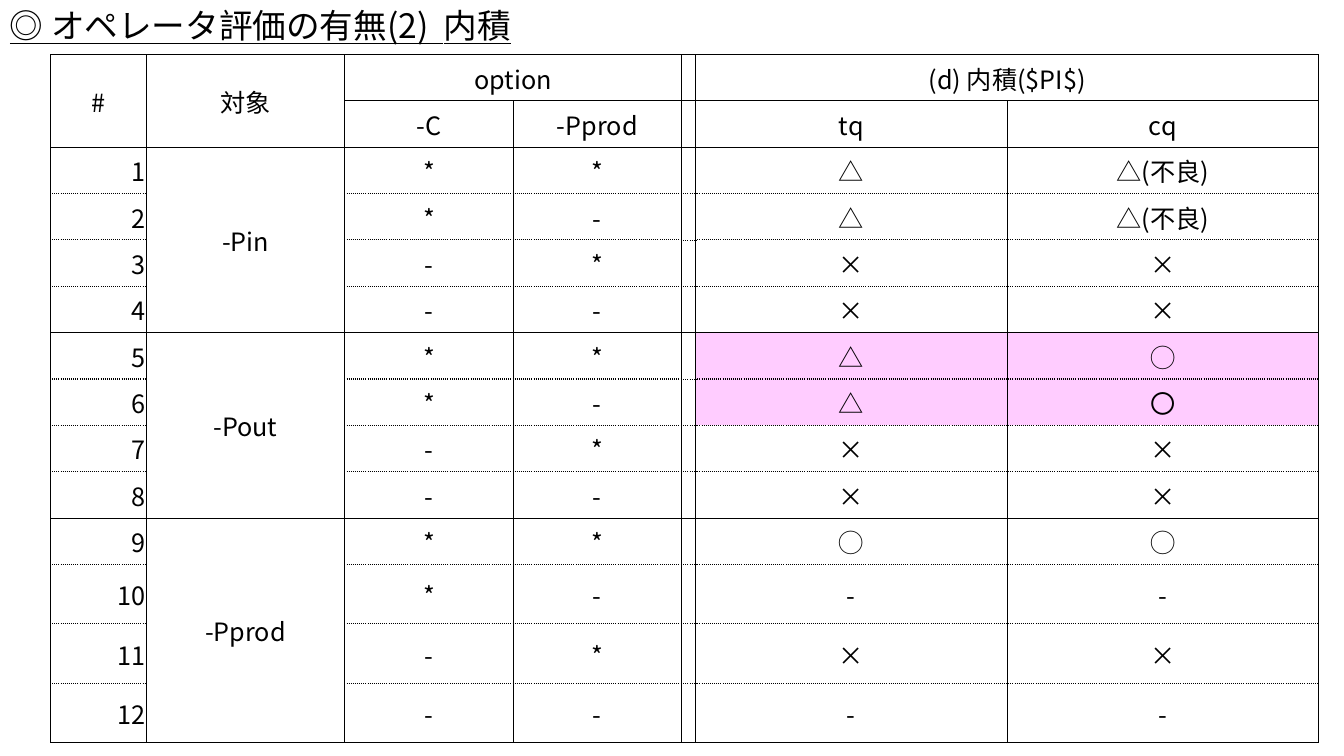
from lxml import etree
from pptx import Presentation
from pptx.dml.color import RGBColor
from pptx.enum.text import MSO_ANCHOR, PP_ALIGN
from pptx.oxml.ns import qn
from pptx.util import Inches, Pt

MID, CENTER, RIGHT = MSO_ANCHOR.MIDDLE, PP_ALIGN.CENTER, PP_ALIGN.RIGHT
FONT = "Noto Sans CJK JP"
INK = {"text": "000000", "line": "000000", "mark": "FFCCFF"}


def style(para, size):
    for run in para.runs:
        run.font.size = Pt(size)
        run.font.color.rgb = RGBColor.from_string(INK["text"])
        run.font.name = FONT
        etree.SubElement(run.font._element, qn("a:ea"), typeface=FONT)


def edge(cell, side, width, dash):
    props = cell._tc.get_or_add_tcPr()
    line = etree.SubElement(props, qn("a:ln" + side), w=str(Pt(width)))
    fill = etree.SubElement(line, qn("a:solidFill"))
    etree.SubElement(fill, qn("a:srgbClr"), val=INK["line"])
    etree.SubElement(line, qn("a:prstDash"), val=dash)


deck = Presentation()
deck.slide_width, deck.slide_height = Inches(13.33), Inches(7.5)
slide = deck.slides.add_slide(deck.slide_layouts[6])

# Title
box = slide.shapes.add_textbox(0, 0, Inches(6.91), Inches(0.5))
frame = box.text_frame
frame.word_wrap = True
frame.vertical_anchor = MID
frame.margin_top = frame.margin_bottom = 0
frame.text = "◎ オペレータ評価の有無(2)  内積"
style(frame.paragraphs[0], 24)
frame.paragraphs[0].runs[0].font.underline = True

# Table content: the option flags repeat in every target group
targets = ["-Pin", "-Pout", "-Pprod"]
flags = [("*", "*"), ("*", "-"), ("-", "*"), ("-", "-")]
results = [
    ("△", "△(不良)"), ("△", "△(不良)"), ("×", "×"), ("×", "×"),
    ("△", "◯"), ("△", "〇"), ("×", "×"), ("×", "×"),
    ("◯", "◯"), ("-", "-"), ("×", "×"), ("-", "-"),
]
rows = [
    ["#", "対象", "option", "", "", "(d) 内積($PI$)", ""],
    ["", "", "-C", "-Pprod", "", "tq", "cq"],
]
for i, result in enumerate(results):
    group, step = divmod(i, len(flags))
    target = targets[group] if step == 0 else ""
    rows.append([str(i + 1), target, *flags[step], "", *result])

# Table grid
widths = [0.95, 1.97, 1.67, 1.67, 0.14, 3.09, 3.09]
heights = [0.46] * 11 + [0.59] * 3
shape = slide.shapes.add_table(
    len(rows), len(widths), Inches(0.5), Inches(0.54),
    Inches(sum(widths)), Inches(sum(heights)))
table = shape.table
table.first_row = table.horz_banding = False
for col, width in zip(table.columns, widths):
    col.width = Inches(width)
for row, height in zip(table.rows, heights):
    row.height = Inches(height)

# Merged cells: top, left, bottom, right
spans = [(0, 0, 1, 0), (0, 1, 1, 1), (0, 2, 0, 3), (0, 5, 0, 6)]
spans += [(top, 1, top + 3, 1) for top in (2, 6, 10)]
for top, left, bottom, right in spans:
    table.cell(top, left).merge(table.cell(bottom, right))

# Cells: solid rules around groups, dotted rules inside them
solid = {0, 1, 2, 6, 10, 14}
for r, texts in enumerate(rows):
    for c, text in enumerate(texts):
        cell = table.cell(r, c)
        cell.margin_left = cell.margin_right = cell.margin_top = Inches(0.01)
        cell.margin_bottom = 0
        cell.vertical_anchor = MID
        if text:
            cell.text = text
            para = cell.text_frame.paragraphs[0]
            para.alignment = RIGHT if c == 0 and r > 1 else CENTER
            style(para, 18)

        dotted = (0.5, "dot") if c == 4 else (1, "sysDot")
        for side in "LR":
            edge(cell, side, 0.5, "solid")
        for side, rule in (("T", r), ("B", r + 1)):
            plain = c == 1 or rule in solid
            edge(cell, side, *((0.5, "solid") if plain else dotted))

        if r in (6, 7) and c > 4:
            cell.fill.solid()
            cell.fill.fore_color.rgb = RGBColor.from_string(INK["mark"])
        else:
            cell.fill.background()

deck.save("out.pptx")
